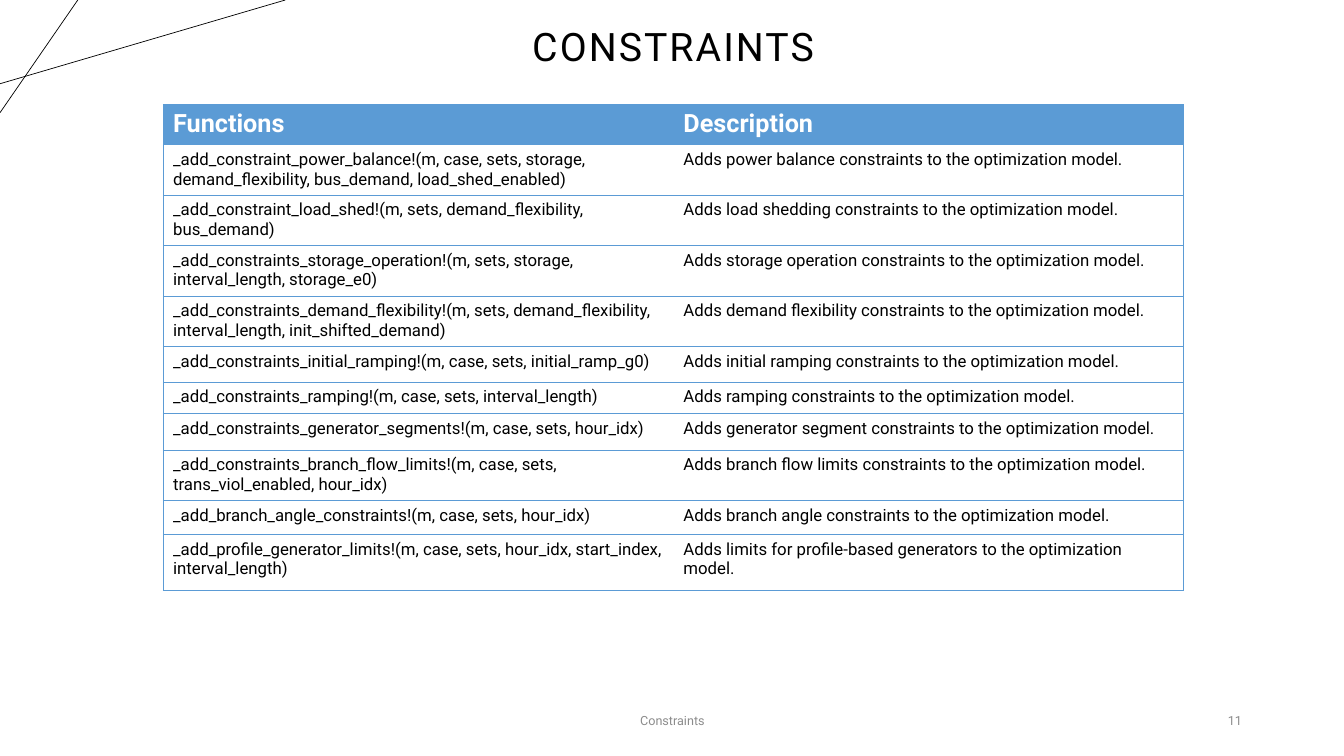
from dataclasses import dataclass

from lxml import etree
from pptx import Presentation
from pptx import util as u
from pptx.dml.color import RGBColor
from pptx.enum import text as t
from pptx.enum.shapes import MSO_CONNECTOR
from pptx.oxml import ns

FONT = "Roboto"
BLACK, WHITE, GREY, BLUE = "000000", "FFFFFF", "8C8C8C", "5B9BD5"
COLUMN_WIDTH = 12.86
HEADER_HEIGHT = 0.99
DESCRIPTION = "Adds {} to the optimization model."


@dataclass
class Constraint:
    signature: str
    adds: str
    height: float = 1.25


@dataclass
class CornerLine:
    start: tuple[float, float]
    end: tuple[float, float]


@dataclass
class FooterItem:
    words: str
    left: float
    width: float
    align: t.PP_ALIGN


CONSTRAINTS = [
    Constraint("_add_constraint_power_balance!(m, case, sets, storage, "
               "demand_flexibility, bus_demand, load_shed_enabled)",
               "power balance constraints"),
    Constraint("_add_constraint_load_shed!(m, sets, demand_flexibility, bus_demand)",
               "load shedding constraints"),
    Constraint("_add_constraints_storage_operation!(m, sets, storage, "
               "interval_length, storage_e0)",
               "storage operation constraints"),
    Constraint("_add_constraints_demand_flexibility!(m, sets, demand_flexibility, "
               "interval_length, init_shifted_demand)",
               "demand flexibility constraints"),
    Constraint("_add_constraints_initial_ramping!(m, case, sets, initial_ramp_g0)",
               "initial ramping constraints", 0.9),
    Constraint("_add_constraints_ramping!(m, case, sets, interval_length)",
               "ramping constraints", 0.79),
    Constraint("_add_constraints_generator_segments!(m, case, sets, hour_idx)",
               "generator segment constraints", 0.92),
    Constraint("_add_constraints_branch_flow_limits!(m, case, sets, "
               "trans_viol_enabled, hour_idx)",
               "branch flow limits constraints"),
    Constraint("_add_branch_angle_constraints!(m, case, sets, hour_idx)",
               "branch angle constraints", 0.86),
    Constraint("_add_profile_generator_limits!(m, case, sets, hour_idx, "
               "start_index, interval_length)",
               "limits for profile-based generators", 1.4),
]
CORNER_LINES = [
    CornerLine((0, 2.11), (7.19, 0)),
    CornerLine((1.96, 0), (0, 2.84)),
]
FOOTER = [
    FooterItem("Constraints", 11.23, 11.43, t.PP_ALIGN.CENTER),
    FooterItem("11", 23.93, 7.62, t.PP_ALIGN.RIGHT),
]


def rgb(value: str) -> RGBColor:
    return RGBColor.from_string(value)


def write(frame, words: str, *, size: float, color: str = BLACK, bold: bool = False,
          align=t.PP_ALIGN.LEFT, anchor=None, line_spacing=None, tracking=None) -> None:
    """Fill a text frame with one formatted paragraph; tracking is in points."""
    frame.word_wrap = True
    if anchor is not None:
        frame.vertical_anchor = anchor
    paragraph = frame.paragraphs[0]
    paragraph.alignment = align
    paragraph.line_spacing = line_spacing
    run = paragraph.add_run()
    run.text = words
    run.font.name = FONT
    run.font.size = u.Pt(size)
    run.font.bold = bold
    run.font.color.rgb = rgb(color)
    if tracking is not None:
        run.font._element.set("spc", str(round(tracking * 100)))


def add_corner_line(slide, line: CornerLine) -> None:
    ends = [u.Cm(value) for value in line.start + line.end]
    connector = slide.shapes.add_connector(MSO_CONNECTOR.STRAIGHT, *ends)
    connector.line.color.rgb = rgb(BLACK)
    connector.line.width = u.Pt(0.5)
    etree.SubElement(connector._element.spPr, ns.qn("a:effectLst"))


def set_borders(cell, visible: str) -> None:
    """Draw the sides named in visible (from L, R, T, B) and clear the others."""
    properties = cell._tc.get_or_add_tcPr()
    for position, side in enumerate("LRTB"):
        border = etree.Element(ns.qn(f"a:ln{side}"), w=str(u.Pt(0.5)))
        if side in visible:
            fill = etree.SubElement(border, ns.qn("a:solidFill"))
            etree.SubElement(fill, ns.qn("a:srgbClr"), val=BLUE)
        else:
            etree.SubElement(border, ns.qn("a:noFill"))
        properties.insert(position, border)


def add_constraint_table(slide) -> None:
    rows = [("Functions", "Description")]
    rows += [(item.signature, DESCRIPTION.format(item.adds)) for item in CONSTRAINTS]
    heights = [HEADER_HEIGHT] + [item.height for item in CONSTRAINTS]
    table = slide.shapes.add_table(
        len(rows), 2, u.Cm(4.11), u.Cm(2.63),
        u.Cm(2 * COLUMN_WIDTH), u.Cm(sum(heights))).table
    table.horz_banding = False
    for column in table.columns:
        column.width = u.Cm(COLUMN_WIDTH)
    for r, (words_in_row, height) in enumerate(zip(rows, heights)):
        table.rows[r].height = u.Cm(height)
        for c, words in enumerate(words_in_row):
            cell = table.cell(r, c)
            if r == 0:
                cell.fill.solid()
                cell.fill.fore_color.rgb = rgb(BLUE)
                write(cell.text_frame, words, size=18, color=WHITE, bold=True)
            else:
                cell.fill.background()
                write(cell.text_frame, words, size=12)
            set_borders(cell, "LTB" if c == 0 else "RTB")


def add_title(slide) -> None:
    title = slide.shapes.title
    title.left, title.top = u.Cm(2.36), u.Cm(-1.78)
    title.width, title.height = u.Cm(29.21), u.Cm(3.68)
    title.text_frame.auto_size = t.MSO_AUTO_SIZE.NONE
    write(title.text_frame, "CONSTRAINTS", size=28, align=t.PP_ALIGN.CENTER,
          anchor=t.MSO_ANCHOR.BOTTOM, line_spacing=0.9, tracking=1.5)


def add_footer_item(slide, item: FooterItem) -> None:
    box = slide.shapes.add_textbox(
        u.Cm(item.left), u.Cm(17.65), u.Cm(item.width), u.Cm(1.02))
    write(box.text_frame, item.words, size=9, color=GREY, align=item.align,
          anchor=t.MSO_ANCHOR.MIDDLE)


def main() -> None:
    deck = Presentation()
    deck.slide_width, deck.slide_height = u.Cm(33.87), u.Cm(19.05)
    slide = deck.slides.add_slide(deck.slide_layouts.get_by_name("Title Only"))
    for line in CORNER_LINES:
        add_corner_line(slide, line)
    add_title(slide)
    for item in FOOTER:
        add_footer_item(slide, item)
    add_constraint_table(slide)
    deck.save("out.pptx")


if __name__ == "__main__":
    main()
